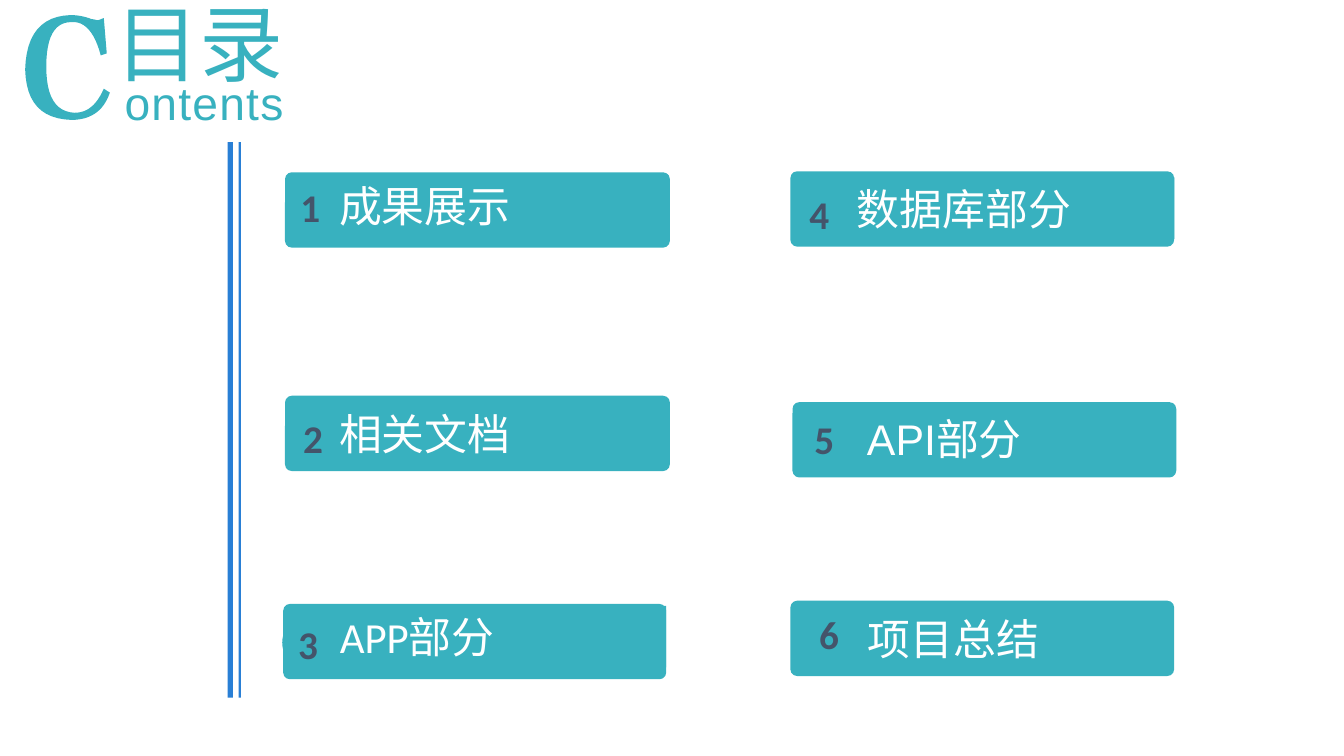
from dataclasses import dataclass

from pptx import Presentation
from pptx.dml.color import RGBColor
from pptx.enum.shapes import MSO_SHAPE
from pptx.enum.text import MSO_ANCHOR, MSO_AUTO_SIZE, PP_ALIGN
from pptx.shapes.autoshape import Shape
from pptx.shapes.group import GroupShape
from pptx.slide import Slide
from pptx.util import Pt

Point = tuple[float, float]


@dataclass(frozen=True)
class Theme:
    teal: RGBColor = RGBColor(0x38, 0xB1, 0xBF)
    blue: RGBColor = RGBColor(0x29, 0x7F, 0xD5)
    slate: RGBColor = RGBColor(0x44, 0x54, 0x6A)
    white: RGBColor = RGBColor(0xFF, 0xFF, 0xFF)
    body_font: str = "Calibri"
    latin_font: str = "Arial"
    title_size: float = 60
    subtitle_size: float = 33
    number_size: float = 28
    label_size: float = 30.6


@dataclass(frozen=True)
class Entry:
    number: str
    label: str
    pill: Point
    pill_width: float
    badge: Point
    number_at: Point
    label_at: Point
    label_width: float
    font: str = "Calibri"


THEME = Theme()
PILL_HEIGHT = 53.8
BADGE_SIZE = 39.6
NUMBER_WIDTH, NUMBER_HEIGHT = 28.8, 41
LABEL_HEIGHT = 44
ENTRIES = [
    Entry("1", "成果展示", (203.6, 123.1), 274.9, (203.8, 129.6), (207.2, 127.4), (235.1, 124.6), 241.9),
    Entry("2", "相关文档", (203.6, 282.7), 274.9, (205.2, 294.5), (209.2, 292.3), (235.1, 287.5), 243.4),
    Entry("3", "APP部分", (202.3, 431.4), 273.6, (201.6, 439.2), (205.6, 439.2), (235.7, 432.7), 240.2),
    Entry("4", "数据库部分", (564.6, 122.4), 274.1, (565.2, 133.9), (570.8, 132.5), (604.8, 126.7), 234),
    Entry("5", "API部分", (566.1, 287.3), 274.1, (568.8, 294.5), (574.4, 293), (612.2, 290.9), 203,
          THEME.latin_font),
    Entry("6", "项目总结", (564.6, 429.1), 274.1, (572.4, 434.2), (577.9, 432.2), (612.7, 434.2), 203),
]

INITIAL_START: Point = (76.3, 38.2)
INITIAL_SEGMENTS: list[tuple[Point, ...]] = [
    ((74.2, 13),),
    ((73.4, 13), (71.3, 14.4), (69.8, 14.4)),
    ((68.4, 14.4), (67, 13.7), (65.5, 13.7)),
    ((59.8, 11.5), (54.7, 10.8), (50.4, 10.8)),
    ((29.5, 11.5), (18.7, 24.5), (18, 49.7)),
    ((18.7, 73.4), (29.5, 85), (51.1, 85.7)),
    ((64.8, 85.7), (74.2, 79.2), (78.5, 66.2)),
    ((74.2, 63.4),),
    ((69.1, 74.9), (62.6, 80.6), (53.3, 80.6)),
    ((39.6, 79.9), (33.1, 69.1), (33.1, 47.5)),
    ((33.1, 26.6), (38.9, 15.8), (51.1, 15.8)),
    ((60.5, 15.1), (67.7, 23), (72, 39.6)),
]


def trace(start: Point, segments: list[tuple[Point, ...]], steps: int = 12) -> list[Point]:
    outline = [start]
    for segment in segments:
        if len(segment) == 1:
            outline.append(segment[0])
            continue
        controls = (outline[-1], *segment)
        for step in range(1, steps + 1):
            t = step / steps
            weights = ((1 - t) ** 3, 3 * t * (1 - t) ** 2, 3 * t * t * (1 - t), t**3)
            x, y = (sum(w * p[axis] for w, p in zip(weights, controls)) for axis in (0, 1))
            outline.append((x, y))
    return outline


def paint(shape: Shape, color: RGBColor) -> None:
    shape.shadow.inherit = False
    shape.fill.solid()
    shape.fill.fore_color.rgb = color
    shape.line.fill.background()


def add_outline(slide: Slide, contours: list[list[Point]], color: RGBColor) -> None:
    scaled = [[(Pt(x), Pt(y)) for x, y in contour] for contour in contours]
    builder = slide.shapes.build_freeform(*scaled[0][0], scale=1.0)
    for index, contour in enumerate(scaled):
        if index:
            builder.move_to(*contour[0])
        builder.add_line_segments(contour[1:], close=True)
    paint(builder.convert_to_shape(), color)


def set_text(shape: Shape, text: str, font: str, size: float, color: RGBColor,
             bold: bool = False, align: PP_ALIGN = PP_ALIGN.LEFT) -> None:
    frame = shape.text_frame
    frame.text = text
    frame.auto_size = MSO_AUTO_SIZE.NONE
    frame.vertical_anchor = MSO_ANCHOR.TOP
    paragraph = frame.paragraphs[0]
    paragraph.alignment = align
    run_font = paragraph.runs[0].font
    run_font.name, run_font.size, run_font.bold = font, Pt(size), bold
    run_font.color.rgb = color


def set_lettering(shape: Shape, text: str, font: str, size: float, spacing: float) -> None:
    set_text(shape, text, font, size, THEME.teal)
    frame = shape.text_frame
    frame.margin_left = frame.margin_right = frame.margin_top = frame.margin_bottom = 0
    frame.word_wrap = False
    frame.paragraphs[0].runs[0].font._element.set("spc", str(round(spacing * 100)))


def add_heading(slide: Slide) -> None:
    add_outline(slide, [trace(INITIAL_START, INITIAL_SEGMENTS)], THEME.teal)

    title = slide.shapes.title
    title.left, title.top, title.width, title.height = Pt(82.5), Pt(0), Pt(124), Pt(60)
    set_lettering(title, "目录", THEME.body_font, THEME.title_size, 0)
    title.text_frame.vertical_anchor = MSO_ANCHOR.MIDDLE

    subtitle = slide.shapes.add_textbox(Pt(89), Pt(53.3), Pt(116), Pt(38))
    set_lettering(subtitle, "ontents", THEME.latin_font, THEME.subtitle_size, 0.9)


def add_double_rule(slide: Slide) -> None:
    top, bottom = 101.5, 498.2
    bars = [(162.7, 166.3), (170.4, 172)]
    contours = [[(a, top), (b, top), (b, bottom), (a, bottom)] for a, b in bars]
    add_outline(slide, contours, THEME.blue)


def add_block(group: GroupShape, kind: MSO_SHAPE, at: Point, width: float, height: float) -> Shape:
    block = group.shapes.add_shape(kind, Pt(at[0]), Pt(at[1]), Pt(width), Pt(height))
    paint(block, THEME.teal)
    return block


def add_entry(slide: Slide, entry: Entry) -> None:
    group = slide.shapes.add_group_shape()
    pill = add_block(group, MSO_SHAPE.ROUNDED_RECTANGLE, entry.pill, entry.pill_width, PILL_HEIGHT)
    pill.adjustments[0] = 0.09
    add_block(group, MSO_SHAPE.OVAL, entry.badge, BADGE_SIZE, BADGE_SIZE)

    number = add_block(group, MSO_SHAPE.RECTANGLE, entry.number_at, NUMBER_WIDTH, NUMBER_HEIGHT)
    set_text(number, entry.number, THEME.body_font, THEME.number_size, THEME.slate,
             bold=True, align=PP_ALIGN.CENTER)
    number.text_frame.word_wrap = False

    label = add_block(group, MSO_SHAPE.RECTANGLE, entry.label_at, entry.label_width, LABEL_HEIGHT)
    set_text(label, entry.label, entry.font, THEME.label_size, THEME.white)
    label.text_frame.word_wrap = True


def main() -> None:
    presentation = Presentation()
    presentation.slide_width, presentation.slide_height = Pt(960), Pt(540)
    slide = presentation.slides.add_slide(presentation.slide_layouts[5])
    add_heading(slide)
    add_double_rule(slide)
    for entry in ENTRIES:
        add_entry(slide, entry)
    presentation.save("out.pptx")


if __name__ == "__main__":
    main()
